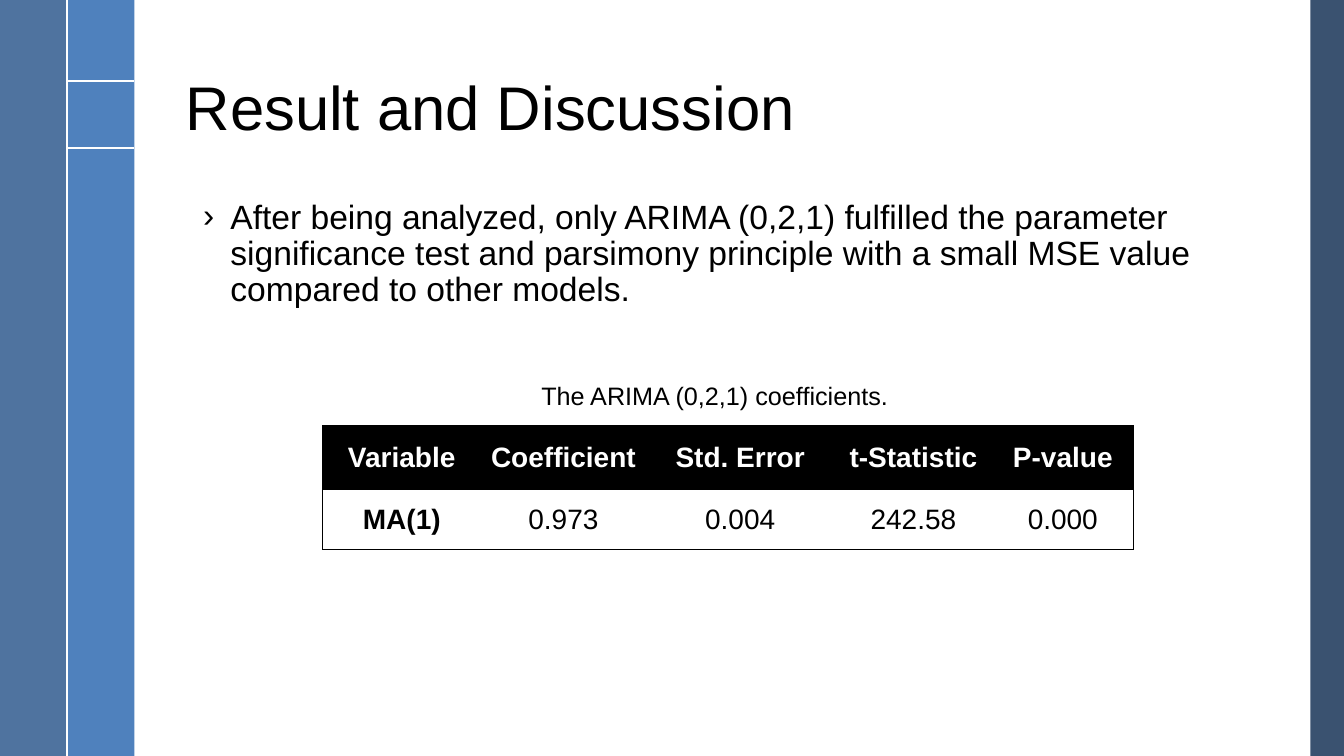
from lxml.etree import SubElement
from pptx import Presentation
from pptx.dml.color import RGBColor
from pptx.enum.shapes import MSO_CONNECTOR, MSO_SHAPE
from pptx.enum.text import MSO_ANCHOR, MSO_AUTO_SIZE, PP_ALIGN
from pptx.oxml.ns import qn
from pptx.util import Pt

SLIDE_WIDTH, SLIDE_HEIGHT = 960, 540
STRIPE = 48
BLACK, WHITE = "000000", "FFFFFF"
NO_STYLE = "{2D5ABB26-0587-4C30-8999-92F81FD0307C}"
COEFFICIENTS = [
    ["Variable", "Coefficient", "Std. Error", "t-Statistic", "P-value"],
    ["MA(1)", "0.973", "0.004", "242.58", "0.000"],
]
COLUMN_WIDTHS = [113, 118, 134.5, 113, 100.5]
ROW_HEIGHTS = [45.5, 43]


def rgb(colour):
    """Turn a hex string into a colour."""
    return RGBColor.from_string(colour)


def add_stripe(slide, left, width, colour, opacity=100):
    """Draw a full-height vertical stripe."""
    stripe = slide.shapes.add_shape(
        MSO_SHAPE.RECTANGLE, Pt(left), 0, Pt(width), Pt(SLIDE_HEIGHT))
    stripe.shadow.inherit = False
    stripe.line.fill.background()
    stripe.fill.solid()
    stripe.fill.fore_color.rgb = rgb(colour)
    if opacity < 100:
        tint = stripe.fill._xPr.find(".//" + qn("a:srgbClr"))
        SubElement(tint, qn("a:alpha"), val=str(opacity * 1000))


def add_rule(slide, x1, y1, x2, y2):
    """Draw a thin white dividing line."""
    rule = slide.shapes.add_connector(
        MSO_CONNECTOR.STRAIGHT, Pt(x1), Pt(y1), Pt(x2), Pt(y2))
    rule.line.color.rgb = rgb(WHITE)
    rule.line.width = Pt(1.5)
    SubElement(rule._element.spPr, qn("a:effectLst"))


def add_run(paragraph, text, size, colour=BLACK, bold=False):
    """Append one run of Arial text."""
    run = paragraph.add_run()
    run.text = text
    run.font.name = "Arial"
    run.font.size = Pt(size)
    run.font.bold = bold
    run.font.color.rgb = rgb(colour)


def add_text(slide, left, top, width, height, text, size, wrap=True):
    """Add a one-paragraph text box and return its frame."""
    box = slide.shapes.add_textbox(Pt(left), Pt(top), Pt(width), Pt(height))
    frame = box.text_frame
    frame.word_wrap = wrap
    add_run(frame.paragraphs[0], text, size)
    return frame


def add_bullet(paragraph, symbol, indent):
    """Give a paragraph a hanging bullet."""
    properties = paragraph._p.get_or_add_pPr()
    properties.set("marL", str(Pt(indent)))
    properties.set("indent", str(-Pt(indent)))
    SubElement(properties, qn("a:buFont"), typeface="Arial")
    SubElement(properties, qn("a:buChar"), char=symbol)


def add_borders(cell, sides):
    """Draw thin black borders on the given sides, in L, R, T, B order."""
    properties = cell._tc.get_or_add_tcPr()
    for side in sides:
        border = SubElement(properties, qn(f"a:ln{side}"), w=str(Pt(0.5)))
        fill = SubElement(border, qn("a:solidFill"))
        SubElement(fill, qn("a:srgbClr"), val=BLACK)


def fill_cell(cell, text, sides, background, colour, bold):
    """Set the text, borders and fill of one table cell."""
    cell.margin_left = cell.margin_right = Pt(5)
    cell.margin_top = cell.margin_bottom = 0
    cell.vertical_anchor = MSO_ANCHOR.MIDDLE
    add_borders(cell, sides)
    cell.fill.solid()
    cell.fill.fore_color.rgb = rgb(background)
    paragraph = cell.text_frame.paragraphs[0]
    paragraph.alignment = PP_ALIGN.CENTER
    add_run(paragraph, text, 20, colour, bold)


def add_coefficients(slide, left, top):
    """Add the table of model coefficients."""
    table = slide.shapes.add_table(
        len(ROW_HEIGHTS), len(COLUMN_WIDTHS), Pt(left), Pt(top),
        Pt(sum(COLUMN_WIDTHS)), Pt(sum(ROW_HEIGHTS))).table
    table._tbl.tblPr.find(qn("a:tableStyleId")).text = NO_STYLE
    table.horz_banding = False
    for column, width in zip(table.columns, COLUMN_WIDTHS):
        column.width = Pt(width)
    for row, height in zip(table.rows, ROW_HEIGHTS):
        row.height = Pt(height)
    last = len(COLUMN_WIDTHS) - 1
    for r, values in enumerate(COEFFICIENTS):
        header = r == 0
        background, colour = (BLACK, WHITE) if header else (WHITE, BLACK)
        for c, value in enumerate(values):
            sides = "L" * (c == 0) + "R" * (c == last) + "TB"
            fill_cell(table.cell(r, c), value, sides, background, colour,
                      header or c == 0)


def main():
    """Build and save the slide."""
    deck = Presentation()
    deck.slide_width, deck.slide_height = Pt(SLIDE_WIDTH), Pt(SLIDE_HEIGHT)
    slide = deck.slides.add_slide(deck.slide_layouts[6])

    add_stripe(slide, SLIDE_WIDTH - STRIPE / 2, STRIPE / 2, "254061", 90)
    add_stripe(slide, STRIPE, STRIPE, "4F81BD")
    add_stripe(slide, 0, STRIPE, "376092", 88)
    for y in (58, 106):
        add_rule(slide, STRIPE, y, 2 * STRIPE, y)
    add_rule(slide, STRIPE, 0, STRIPE, SLIDE_HEIGHT)

    title = add_text(slide, 125.5, 31, 770, 75, "Result and Discussion", 44)
    title.vertical_anchor = MSO_ANCHOR.BOTTOM
    title.paragraphs[0].line_spacing = 0.9

    finding = add_text(
        slide, 138, 139.5, 770, 99,
        "After being analyzed, only ARIMA (0,2,1) fulfilled the parameter "
        "significance test and parsimony principle with a small MSE value "
        "compared to other models.", 24).paragraphs[0]
    finding.line_spacing = 0.9
    add_bullet(finding, "›", 19.5)

    add_coefficients(slide, 230.5, 304)

    caption = add_text(slide, 378, 268, 265, 29,
                       "The ARIMA (0,2,1) coefficients.", 18, wrap=False)
    caption.auto_size = MSO_AUTO_SIZE.SHAPE_TO_FIT_TEXT
    caption.paragraphs[0].alignment = PP_ALIGN.CENTER
    caption.paragraphs[0].space_after = Pt(6)

    deck.save("out.pptx")


if __name__ == "__main__":
    main()
